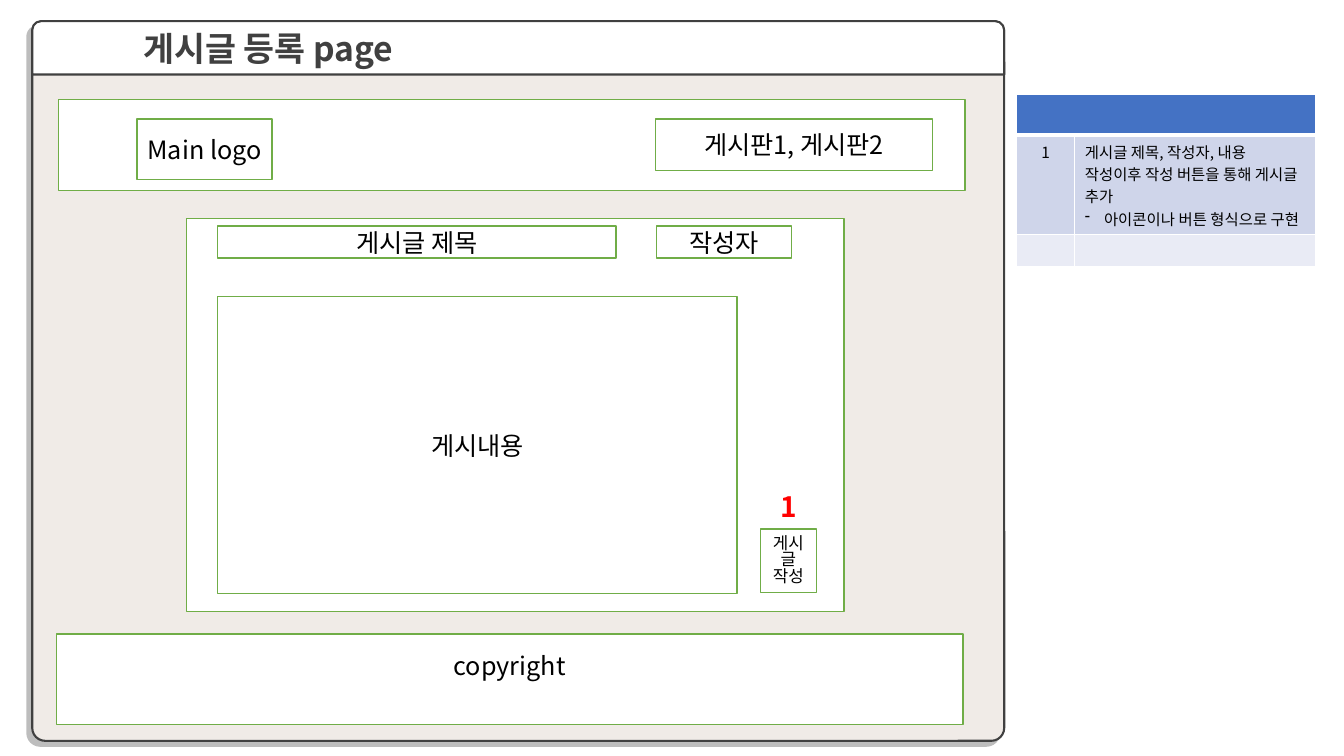
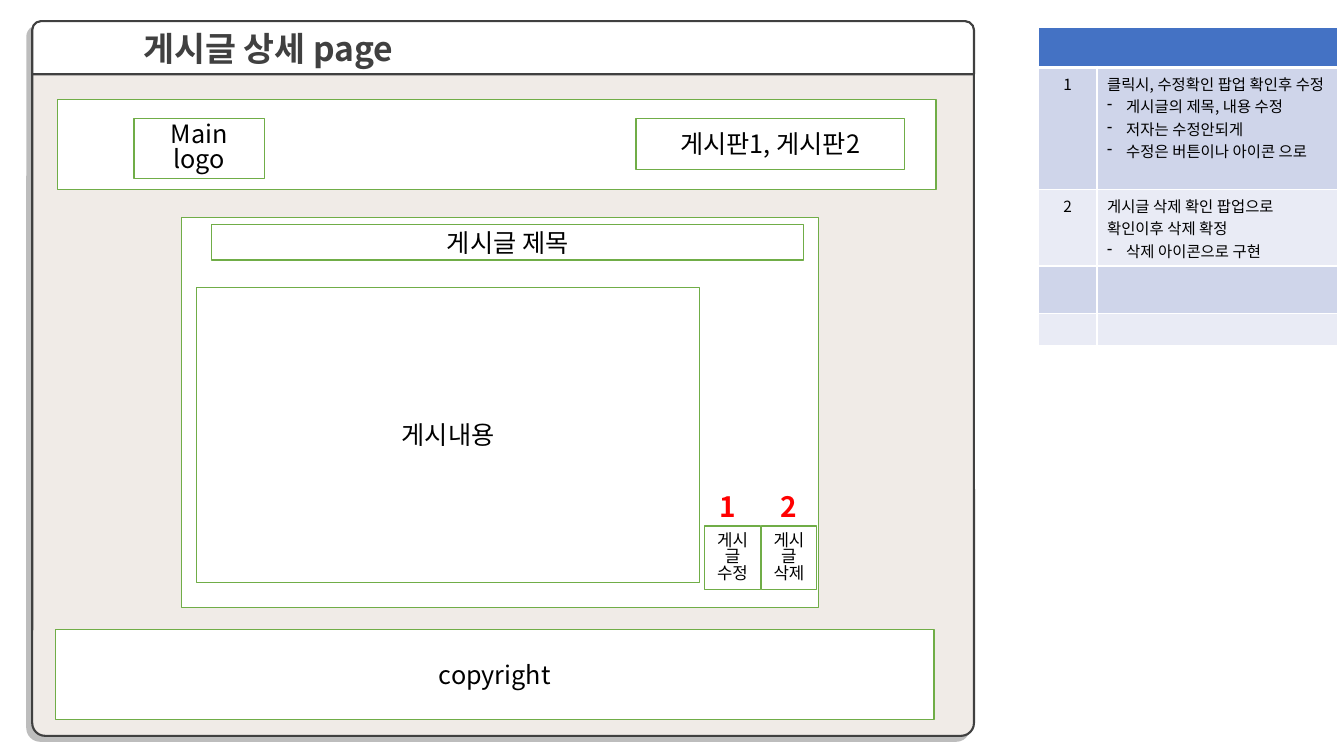
from lxml.etree import SubElement
from pptx import Presentation
from pptx.dml.color import RGBColor
from pptx.enum.shapes import MSO_SHAPE
from pptx.enum.text import MSO_ANCHOR, MSO_AUTO_SIZE, PP_ALIGN
from pptx.oxml.ns import qn
from pptx.util import Inches, Pt

RECT = MSO_SHAPE.RECTANGLE
ROUND = MSO_SHAPE.ROUND_2_SAME_RECTANGLE
MIDDLE = MSO_ANCHOR.MIDDLE
FIXED = MSO_AUTO_SIZE.NONE
LEFT = PP_ALIGN.LEFT
CENTER = PP_ALIGN.CENTER

FONT = "Noto Sans CJK KR"
COLORS = {
    "white": "FFFFFF", "black": "000000", "dark": "404040",
    "page": "F0EBE7", "green": "70AD47", "red": "FF0000",
    "head": "4472C4", "odd": "CFD5EA", "even": "E9EBF5",
}
FORMATS = {
    "title": {"size": Pt(24), "bold": True, "color": "dark"},
    "label": {"size": Pt(18), "bold": False, "color": "black"},
    "small": {"size": Pt(12), "bold": False, "color": "black"},
    "note": {"size": Pt(11), "bold": False, "color": "black"},
    "mark": {"size": Pt(20), "bold": True, "color": "red"},
}
ORIGIN = (0.32, 0.21)
BASE = (9.64, 7.14)
INDENT = Inches(0.19)
TIGHT = 0.82


def paint(color, name):
    color.rgb = RGBColor.from_string(COLORS[name])


class Deck:
    def __init__(self):
        self.show = Presentation()
        self.show.slide_width = Inches(13.33)
        self.show.slide_height = Inches(7.5)
        self.slide = None

    def text(self, par, words, style, align):
        par.alignment = align
        run = par.add_run()
        run.text = words
        run.font.name = FONT
        for key, value in FORMATS[style].items():
            if key == "color":
                paint(run.font.color, value)
            else:
                setattr(run.font, key, value)
        SubElement(run._r.get_or_add_rPr(), qn("a:ea"), typeface=FONT)

    def shape(self, kind, at, fill="white", line="green", width=1):
        item = self.slide.shapes.add_shape(kind, *map(Inches, at))
        item.shadow.inherit = False
        item.fill.solid()
        paint(item.fill.fore_color, fill)
        paint(item.line.color, line)
        item.line.width = Pt(width)
        return item

    def box(self, at, words="", style="label", space=None):
        item = self.shape(RECT, at)
        if words:
            frame = item.text_frame
            frame.word_wrap = True
            frame.vertical_anchor = MIDDLE
            par = frame.paragraphs[0]
            self.text(par, words, style, CENTER)
            if space:
                par.line_spacing = space
        return item

    def button(self, at, words):
        self.box(at, words, "small", TIGHT)

    def mark(self, left, words):
        item = self.slide.shapes.add_textbox(
            *map(Inches, (left, 4.81, 0.4, 0.44)))
        item.text_frame.word_wrap = True
        self.text(item.text_frame.paragraphs[0], words, "mark", LEFT)

    def shade(self, item):
        effects = item.element.spPr.find(qn("a:effectLst"))
        shadow = SubElement(effects, qn("a:outerShdw"), blurRad="0",
                            dist=str(Pt(5)), dir=str(135 * 60000),
                            algn="tr", rotWithShape="0")
        color = SubElement(shadow, qn("a:srgbClr"), val=COLORS["black"])
        SubElement(color, qn("a:alpha"), val="25000")

    def title(self, band, words):
        item = self.slide.shapes.title
        for side in ("left", "top", "width", "height"):
            setattr(item, side, getattr(band, side))
        frame = item.text_frame
        values = {"margin_left": Inches(1.1), "margin_top": 0,
                  "margin_bottom": 0, "word_wrap": True,
                  "auto_size": FIXED, "vertical_anchor": MIDDLE}
        for key, value in values.items():
            setattr(frame, key, value)
        self.text(frame.paragraphs[0], words, "title", LEFT)
        band.element.addnext(item.element)

    def page(self, words, width, height, space=None, lift=0.05):
        layout = self.show.slide_layouts.get_by_name("Title Only")
        self.slide = self.show.slides.add_slide(layout)
        left, top = ORIGIN
        across, down = width / BASE[0], height / BASE[1]

        def fit(x, y, w, h):
            return (left + (x - left) * across, top + (y - top) * down,
                    w * across, h * down)

        body = self.shape(ROUND, (left, top, width, height),
                          "page", "dark", 1.5)
        body.adjustments[0] = 0.015
        body.adjustments[1] = 0.018
        self.shade(body)
        band = self.shape(ROUND, fit(left, top, BASE[0], 0.53),
                          "white", "dark", 1.5)
        self.title(band, words)
        self.box(fit(1.85, 2.17, 6.52, 3.9))
        self.box(fit(0.58, 0.99, 8.99, 0.9))
        foot = self.box(fit(0.56, 6.29, 8.99, 0.9), "copyright")
        foot.text_frame.margin_bottom = Inches(lift)
        self.box(fit(1.36, 1.18, 1.34, 0.6), "Main logo", space=space)
        self.box(fit(6.5, 1.18, 2.75, 0.51), "게시판1, 게시판2")

    def border(self, cell, row):
        props = cell._tc.get_or_add_tcPr()
        for side in ("lnL", "lnR", "lnT", "lnB"):
            thick = (row, side) in ((0, "lnB"), (1, "lnT"))
            line = SubElement(props, qn("a:" + side),
                              w=str(Pt(3 if thick else 1)))
            fill = SubElement(line, qn("a:solidFill"))
            SubElement(fill, qn("a:srgbClr"), val=COLORS["white"])

    def bullet(self, par):
        props = par._p.get_or_add_pPr()
        props.set("marL", str(INDENT))
        props.set("indent", str(-INDENT))
        SubElement(props, qn("a:buChar"), char="-")

    def enter(self, cell, lines, align):
        frame = cell.text_frame
        if not lines:
            SubElement(frame.paragraphs[0]._p, qn("a:endParaRPr"),
                       sz=str(int(FORMATS["note"]["size"].pt * 100)))
        for index, words in enumerate(lines):
            par = frame.add_paragraph() if index else frame.paragraphs[0]
            self.text(par, words.removeprefix("- "), "note", align)
            if words.startswith("- "):
                self.bullet(par)

    def table(self, left, top, heights, notes):
        widths = (0.58, 2.39)
        grid = self.slide.shapes.add_table(
            len(heights), len(widths),
            *map(Inches, (left, top, sum(widths), sum(heights)))).table
        for col, width in zip(grid.columns, widths):
            col.width = Inches(width)
        for row, height in enumerate(heights):
            grid.rows[row].height = Inches(height)
            lines = notes[row - 1] if 0 < row <= len(notes) else []
            number = [str(row)] if lines else []
            name = ("odd" if row % 2 else "even") if row else "head"
            parts = ((number, CENTER), (lines, LEFT))
            for col, (texts, align) in enumerate(parts):
                cell = grid.cell(row, col)
                self.border(cell, row)
                cell.fill.solid()
                paint(cell.fill.fore_color, name)
                self.enter(cell, texts, align)
        grid.cell(0, 0).merge(grid.cell(0, 1))


deck = Deck()

deck.page("게시글 등록 page", 9.64, 7.14, lift=0.32)
deck.box((2.16, 2.94, 5.15, 2.95), "게시내용")
deck.box((2.16, 2.24, 3.95, 0.32), "게시글 제목")
deck.button((7.54, 5.25, 0.56, 0.63), "게시글 작성")
deck.table(10.08, 0.94, (0.4, 0.98, 0.32), [
    ["게시글 제목, 작성자, 내용 작성이후 작성 버튼을 통해 게시글 추가",
     "- 아이콘이나 버튼 형식으로 구현"],
])
deck.mark(7.64, "1")
deck.box((6.51, 2.24, 1.34, 0.32), "작성자")

deck.page("게시글 상세 page", 9.34, 7.09, space=TIGHT)
deck.box((1.95, 2.85, 4.99, 2.93), "게시내용")
deck.box((2.1, 2.23, 5.87, 0.35), "게시글 제목")
for index, action in enumerate(("수정", "삭제")):
    deck.button((6.99 + index * 0.56, 5.22, 0.55, 0.63), "게시글 " + action)
    deck.mark(7.04 + index * 0.6, str(index + 1))
deck.table(10.3, 0.27, (0.4, 1.21, 0.76, 0.47, 0.32), [
    ["클릭시, 수정확인 팝업 확인후 수정",
     "- 게시글의 제목, 내용 수정",
     "- 저자는 수정안되게",
     "- 수정은 버튼이나 아이콘 으로"],
    ["게시글 삭제 확인 팝업으로 확인이후 삭제 확정",
     "- 삭제 아이콘으로 구현"],
])

deck.show.save("out.pptx")
